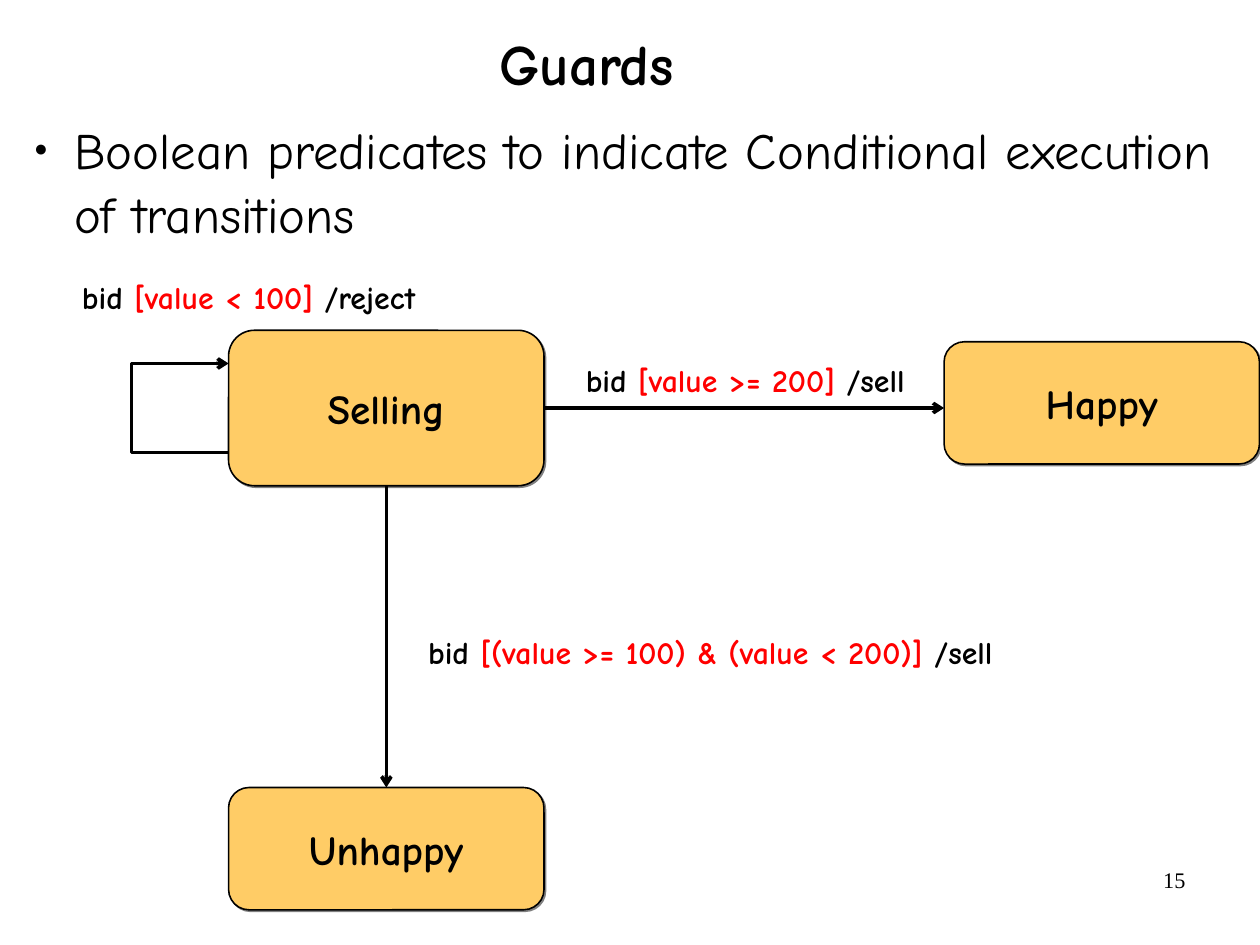
import pptx
import pptx.util
import pptx.dml.color
import pptx.enum.shapes
import pptx.enum.text
from lxml import etree

Inches, Pt = pptx.util.Inches, pptx.util.Pt
Align, Anchor = pptx.enum.text.PP_ALIGN, pptx.enum.text.MSO_ANCHOR
Kind = pptx.enum.shapes.MSO_SHAPE
NS = "http://schemas.openxmlformats.org/drawingml/2006/main"
HEX = {"ink": "000000", "guard": "FF0000", "state": "FFCC66", "shade": "808080"}
RGB = {name: pptx.dml.color.RGBColor.from_string(code) for name, code in HEX.items()}

# Page of 28 by 21 cm
deck = pptx.Presentation()
deck.slide_width = Inches(28 / 2.54)
deck.slide_height = Inches(21 / 2.54)
slide = deck.slides.add_slide(deck.slide_layouts[6])
shapes = slide.shapes


def write(shape, parts, size, font="Comic Neue", bold=False, align=Align.CENTER,
          anchor=Anchor.MIDDLE, pad=(0, 0), wrap=True):
    """Fill a shape with one paragraph of (text, colour) parts."""
    frame = shape.text_frame
    frame.word_wrap, frame.vertical_anchor = wrap, anchor
    frame.margin_left = frame.margin_right = Inches(pad[0])
    frame.margin_top = frame.margin_bottom = Inches(pad[1])
    para = frame.paragraphs[0]
    para.alignment = align
    for text, tint in parts:
        run = para.add_run()
        run.text = text
        if len(parts) > 1:
            run.font.color.rgb = RGB[tint]
    return para, (font, size, bold)


def style(para, look):
    """Set the font of a paragraph."""
    para.font.name, para.font.bold = look[0], look[2]
    para.font.size = Pt(look[1])
    para.font.color.rgb = RGB["ink"]


# Page number
box = shapes.add_textbox(Inches(7.9), Inches(7.53), Inches(2.57), Inches(0.57))
style(*write(box, [("15", "ink")], 14, "Times New Roman", align=Align.RIGHT,
             anchor=Anchor.TOP, pad=(0.1, 0.05)))

# Title
box = shapes.add_textbox(Inches(0.43), Inches(0.09), Inches(9.4), Inches(1))
para, look = write(box, [("Guards", "ink")], 36, bold=True)
para.line_spacing = 0.88
style(para, look)

# Bullet
box = shapes.add_textbox(Inches(0.19), Inches(1.01), Inches(10.83), Inches(6.42))
lead = "Boolean predicates to indicate Conditional execution of transitions"
para, look = write(box, [(lead, "ink")], 32, align=Align.LEFT, anchor=Anchor.TOP)
para.line_spacing = 1.05
props = para._p.get_or_add_pPr()
props.set("marL", str(Inches(0.46)))
props.set("indent", str(Inches(-0.35)))
etree.SubElement(props, f"{{{NS}}}buSzPct", val="45000")
etree.SubElement(props, f"{{{NS}}}buFont", typeface="Times New Roman")
etree.SubElement(props, f"{{{NS}}}buChar", char="●")
style(para, look)

# States
states = {}
for name, left, top, high in [("Selling", 2, 2.89, 1.36),
                              ("Unhappy", 2, 6.89, 1.07),
                              ("Happy", 8.26, 2.99, 1.07)]:
    state = shapes.add_shape(Kind.ROUNDED_RECTANGLE, Inches(left), Inches(top),
                             Inches(2.76), Inches(high))
    state.shadow.inherit = False
    state.fill.solid()
    state.fill.fore_color.rgb = RGB["state"]
    state.line.color.rgb = RGB["ink"]
    state.line.width = Pt(1)
    effects = state._element.spPr.find(f"{{{NS}}}effectLst")
    shade = etree.SubElement(effects, f"{{{NS}}}outerShdw", dist=str(Pt(1.4)),
                             dir="2700000", algn="tl", rotWithShape="0")
    etree.SubElement(shade, f"{{{NS}}}srgbClr", val=HEX["shade"])
    style(*write(state, [(name, "ink")], 26, bold=True, pad=(0.11, 0.06), wrap=False))
    states[name] = state

# Transitions: down, right, and the loop back to Selling
line = pptx.enum.shapes.MSO_CONNECTOR.STRAIGHT
down = shapes.add_connector(line, Inches(3.38), Inches(4.25), Inches(3.38), Inches(6.89))
down.begin_connect(states["Selling"], 2)
down.end_connect(states["Unhappy"], 0)
right = shapes.add_connector(line, Inches(4.76), Inches(3.57), Inches(8.26), Inches(3.57))
right.begin_connect(states["Selling"], 3)
trace = shapes.build_freeform(Inches(2), Inches(3.96))
trace.add_line_segments([(Inches(x), Inches(y)) for x, y in
                         [(1.15, 3.96), (1.15, 3.18), (2, 3.18)]], close=False)
loop = trace.convert_to_shape()
loop.fill.background()
loop.shadow.inherit = False
for arrow in (down, right, loop):
    arrow.line.color.rgb = RGB["ink"]
    arrow.line.width = Pt(2.25)
    etree.SubElement(arrow.line._get_or_add_ln(), f"{{{NS}}}tailEnd", type="arrow")
for arrow in (down, right):
    etree.SubElement(arrow._element.spPr, f"{{{NS}}}effectLst")

# Transition labels
for guard, act, left, top, wide in [
        ("[(value >= 100) & (value < 200)]", " /sell", 3.58, 5.48, 5.27),
        ("[value >= 200]", " /sell", 5.01, 3.1, 3.02),
        ("[value < 100]", " /reject", 0.6, 2.38, 3.15)]:
    label = shapes.add_textbox(Inches(left), Inches(top), Inches(wide), Inches(0.44))
    parts = [("bid ", "ink"), (guard, "guard"), (act, "ink")]
    style(*write(label, parts, 20, bold=True, pad=(0.11, 0.06), wrap=False))

deck.save("out.pptx")
